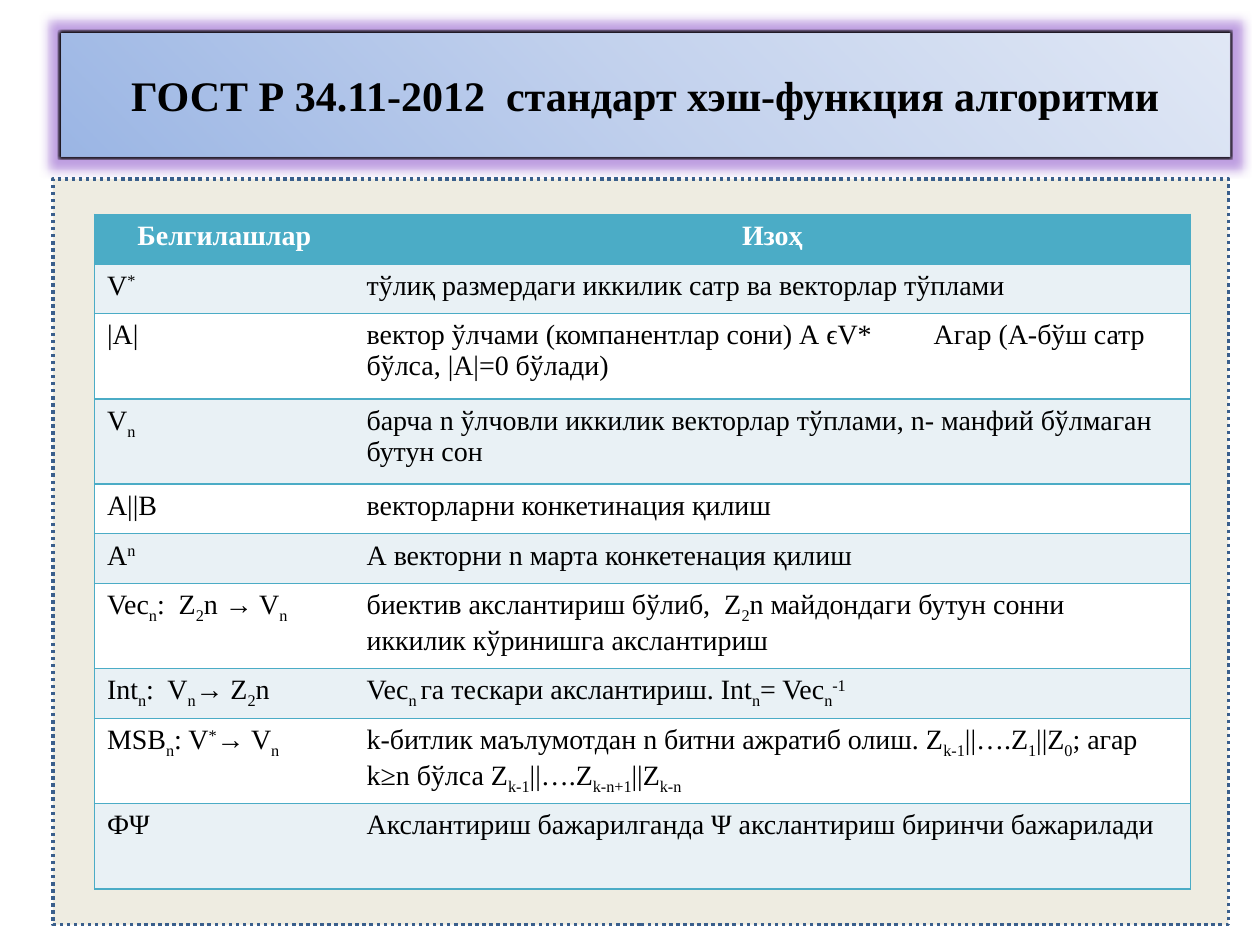
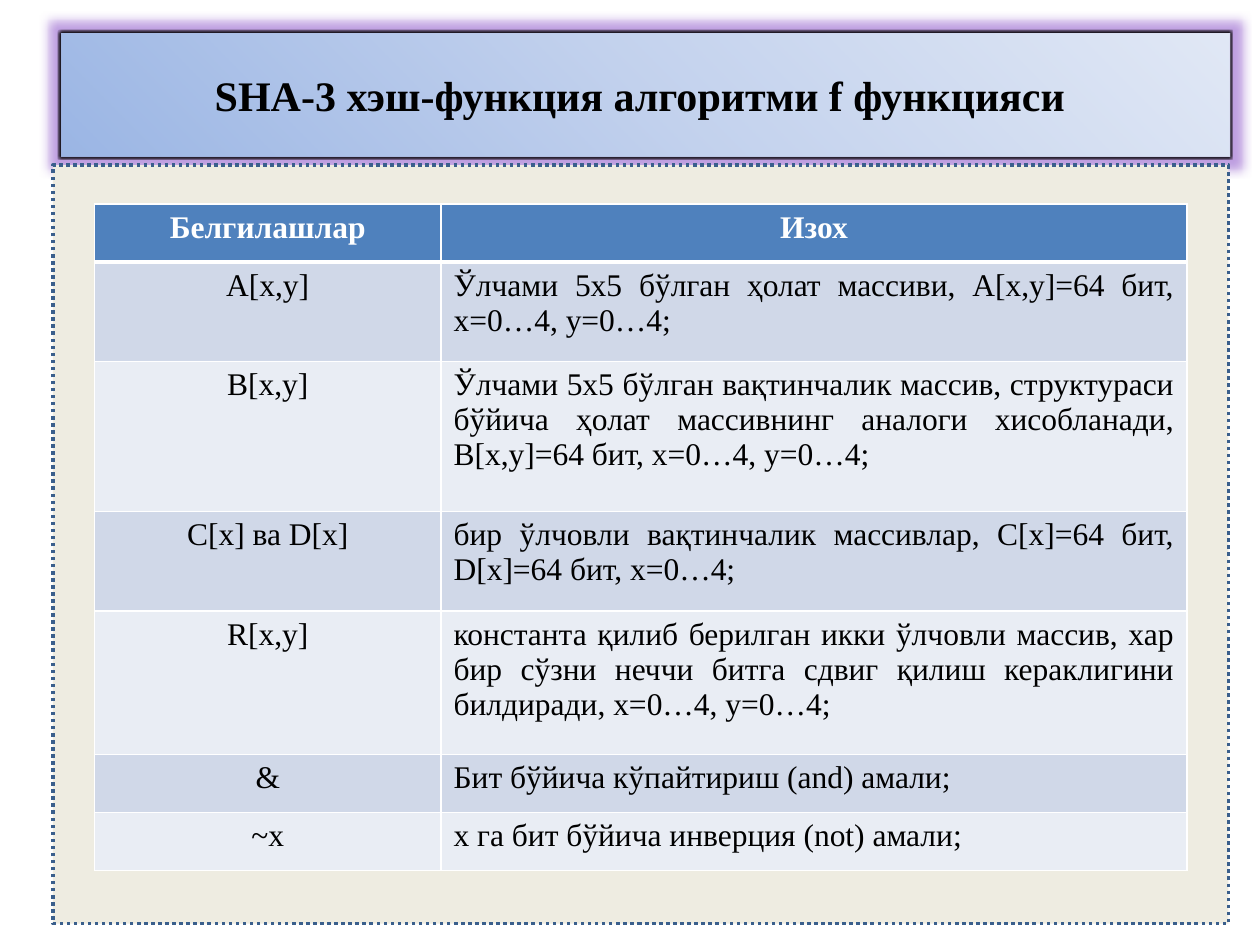
from dataclasses import dataclass
from typing import Any

from lxml import etree
from pptx import Presentation
from pptx import util as u
from pptx.dml.color import RGBColor
from pptx.enum import dml, shapes, text
from pptx.oxml.ns import qn

WIDE, HIGH = u.Inches(10), u.Inches(7.5)
FONT = "Times New Roman"
TITLE_ONLY = 5
HEX = {
    "black": "000000", "white": "FFFFFF", "glow": "8A50C8",
    "deep": "9AB5E4", "mid": "C2D1ED", "pale": "E1E8F5",
    "sand": "EEECE1", "dots": "3A5F8C",
    "teal": "4BACC6", "ice": "E9F1F5",
    "blue": "4F81BD", "steel": "D0D8E8", "mist": "E9EDF4",
}
BAND = (("deep", 0), ("mid", 50), ("pale", 100))
LEFT, MID, FULL = (text.PP_ALIGN.LEFT, text.PP_ALIGN.CENTER,
                   text.PP_ALIGN.JUSTIFY)


@dataclass
class Box:
    """A rectangle in percent of the slide's width and height."""
    x: float
    y: float
    w: float
    h: float

    def place(self) -> dict[str, int]:
        return {"left": across(self.x), "top": down(self.y),
                "width": across(self.w), "height": down(self.h)}


@dataclass
class Look:
    head: str
    odd: str
    even: str
    rule: str
    split: bool           # a rule between the columns
    under: float          # rule below the header, in points
    size: int
    align: tuple


@dataclass
class Page:
    title: str
    panel: Box
    top: float
    cols: tuple
    rows: tuple
    look: Look
    cells: list


def across(part: float) -> int:
    return round(WIDE * part / 100)


def down(part: float) -> int:
    return round(HIGH * part / 100)


def tint(name: str) -> RGBColor:
    return RGBColor.from_string(HEX[name])


def put(item: Any, vals: dict[str, Any]) -> None:
    for key, val in vals.items():
        setattr(item, key, val)


def add(node: Any, tag: str, **attrs: Any) -> Any:
    return etree.SubElement(node, qn(f"a:{tag}"),
                            {key: str(val) for key, val in attrs.items()})


def style(font: Any, size: int, ink: str, bold: bool) -> None:
    put(font, {"name": FONT, "size": u.Pt(size), "bold": bold})
    font.color.rgb = tint(ink)


def edge(shape: Any, ink: str) -> None:
    shape.line.color.rgb = tint(ink)
    shape.line.width = u.Pt(2)


def draw_title(slide: Any, words: str) -> None:
    shape = slide.shapes.title
    put(shape, Box(4.7, 3.33, 93, 13.33).place())
    shape.fill.gradient()
    edge(shape, "black")
    props = shape._element.spPr
    grad = props.find(qn("a:gradFill"))
    grad.clear()
    stops = add(grad, "gsLst")
    for name, spot in BAND:
        add(add(stops, "gs", pos=spot * 1000), "srgbClr", val=HEX[name])
    add(add(grad, "path", path="circle"), "fillToRect", t=100000, r=100000)
    fx = add(props, "effectLst")
    glow = add(add(fx, "glow", rad=u.Pt(11)), "srgbClr", val=HEX["glow"])
    add(glow, "alpha", val=55000)
    add(fx, "softEdge", rad=u.Pt(1))

    frame = shape.text_frame
    put(frame, {"text": words, "word_wrap": True,
                "auto_size": text.MSO_AUTO_SIZE.NONE,
                "vertical_anchor": text.MSO_ANCHOR.MIDDLE})
    para = frame.paragraphs[0]
    para.alignment = MID
    style(para.runs[0].font, 24, "black", True)


def draw_panel(slide: Any, box: Box) -> None:
    shape = slide.shapes.add_shape(shapes.MSO_SHAPE.RECTANGLE,
                                   **box.place())
    shape.shadow.inherit = False
    shape.fill.solid()
    shape.fill.fore_color.rgb = tint(box_ink)
    edge(shape, "dots")
    shape.line.dash_style = dml.MSO_LINE.ROUND_DOT


box_ink = "sand"


def write(cell: Any, words: str, size: int, ink: str, bold: bool,
          align: Any) -> None:
    """Fill a cell; {_x} is a subscript, {^x} a superscript, a newline breaks."""
    para = cell.text_frame.paragraphs[0]
    para.alignment = align
    for spot, part in enumerate(words.replace("}", "{").split("{")):
        shift = 0
        if spot % 2:
            shift = -25000 if part[0] == "_" else 30000
            part = part[1:]
        for turn, line in enumerate(part.split("\n")):
            if turn:
                para.add_line_break()
            if line:
                run = para.add_run()
                run.text = line
                style(run.font, size, ink, bold)
                if shift:
                    run.font._element.set("baseline", str(shift))


def border(cell: Any, ink: str, sides: dict[str, float]) -> None:
    """Rule the sides L, R, T, B; a width of 0 leaves a side open."""
    props = cell._tc.get_or_add_tcPr()
    for side, wide in sides.items():
        line = add(props, f"ln{side}", w=u.Pt(wide))
        if wide:
            add(add(line, "solidFill"), "srgbClr", val=HEX[ink])
        else:
            add(line, "noFill")


def draw_table(slide: Any, page: Page) -> None:
    look, last = page.look, len(page.cols) - 1
    box = Box(7.5, page.top, sum(page.cols), sum(page.rows))
    table = slide.shapes.add_table(len(page.rows), len(page.cols),
                                   **box.place()).table
    put(table, {"first_row": False, "horz_banding": False})
    for col, part in zip(table.columns, page.cols):
        col.width = across(part)
    for r, (row, part) in enumerate(zip(table.rows, page.rows)):
        row.height = down(part)
        fill = look.head if r == 0 else (look.even, look.odd)[r % 2]
        for c, cell in enumerate(row.cells):
            border(cell, look.rule, {
                "L": 1 if look.split or c == 0 else 0,
                "R": 1 if look.split or c == last else 0,
                "T": look.under if r == 1 else 1,
                "B": look.under if r == 0 else 1})
            cell.fill.solid()
            cell.fill.fore_color.rgb = tint(fill)
            write(cell, page.cells[r][c], look.size,
                  "black" if r else "white", r == 0,
                  look.align[c] if r else MID)


ONE, TWO = 5.25, 9.03
PAGES = [
    Page("ГОСТ Р 34.11-2012  стандарт хэш-функция алгоритми",
         Box(4.2, 18.93, 93.3, 78.93), 22.67, (20.6, 66.4),
         (ONE, ONE, TWO, TWO, ONE, ONE, TWO, ONE, TWO, TWO),
         Look("teal", "ice", "white", "teal", False, 1, 16, (LEFT, LEFT)),
         [("Белгилашлар", "Изоҳ"),
          ("V{^*}", "тўлиқ размердаги иккилик сатр ва векторлар тўплами"),
          ("|А|", "вектор ўлчами (компанентлар сони) А ϵV*\tАгар (А-бўш "
                  "сатр бўлса, |А|=0 бўлади)"),
          ("V{_n}", "барча n ўлчовли иккилик векторлар тўплами, "
                    "n- манфий бўлмаган бутун сон"),
          ("A||B", "векторларни конкетинация қилиш"),
          ("A{^n}", "А векторни n марта конкетенация қилиш"),
          ("Vec{_n}:  Z{_2}n → V{_n}",
           "биектив акслантириш бўлиб,  Z{_2}n майдондаги бутун сонни\n"
           "иккилик кўринишга акслантириш"),
          ("Int{_n}:  V{_n}→ Z{_2}n",
           "Vec{_n }га тескари акслантириш. Int{_n}= Vec{_n}{^-1}"),
          ("MSB{_n}: V{^*}→ V{_n}",
           "k-битлик маълумотдан n битни ажратиб олиш. "
           "Z{_k-1}||….Z{_1}||Z{_0}; агар k≥n бўлса "
           "Z{_k-1}||….Z{_k-n+1}||Z{_k-n}"),
          ("ФΨ", "Акслантириш бажарилганда Ψ акслантириш "
                 "биринчи бажарилади")]),
    Page("SHA-3 хэш-функция алгоритми f функцияси ",
         Box(4.2, 17.47, 93.3, 80.27), 21.6, (27.5, 59.2),
         (6.13, 10.53, 15.87, 10.53, 15.2, 6.13, 6.13),
         Look("blue", "steel", "mist", "white", True, 3, 18, (MID, FULL)),
         [("Белгилашлар", "Изох"),
          ("А[x,y]", "Ўлчами 5х5 бўлган ҳолат массиви, A[x,y]=64 бит, "
                     "x=0…4, y=0…4;"),
          ("B[x,y]", "Ўлчами 5х5 бўлган вақтинчалик массив, структураси "
                     "бўйича ҳолат массивнинг аналоги хисобланади, "
                     "B[x,y]=64 бит, x=0…4, y=0…4;"),
          ("C[x] ва D[x]", "бир ўлчовли вақтинчалик массивлар, "
                           "C[x]=64 бит, D[x]=64 бит, x=0…4;"),
          ("R[x,y]", "константа қилиб берилган икки ўлчовли массив, хар "
                     "бир сўзни неччи битга сдвиг қилиш кераклигини "
                     "билдиради, x=0…4, y=0…4;"),
          ("&", "Бит бўйича кўпайтириш (and) амали;"),
          ("~x", "x га бит бўйича инверция (not) амали;")]),
]


def main() -> None:
    deck = Presentation()
    put(deck, {"slide_width": WIDE, "slide_height": HIGH})
    for page in PAGES:
        slide = deck.slides.add_slide(deck.slide_layouts[TITLE_ONLY])
        draw_title(slide, page.title)
        draw_panel(slide, page.panel)
        draw_table(slide, page)
    deck.save("out.pptx")


if __name__ == "__main__":
    main()
